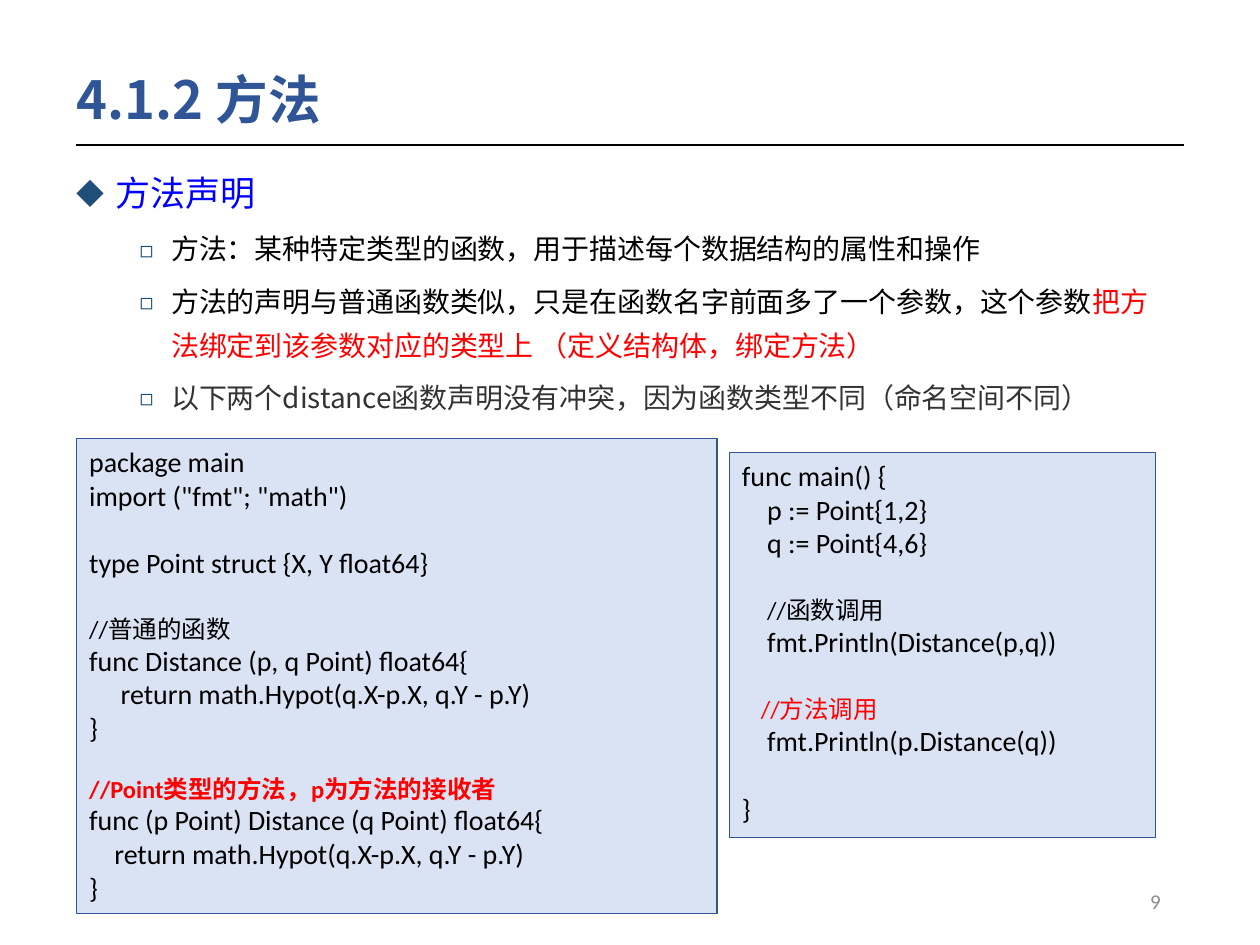
from typing import NamedTuple

from lxml.etree import SubElement
from pptx import Presentation
from pptx.dml.color import RGBColor
from pptx.enum.shapes import MSO_CONNECTOR, MSO_SHAPE
from pptx.enum.text import MSO_ANCHOR, PP_ALIGN
from pptx.oxml.ns import qn
from pptx.util import Inches, Pt

BLUE = RGBColor(0x2F, 0x55, 0x97)
BRIGHT_BLUE = RGBColor(0x00, 0x00, 0xFF)
PANEL = RGBColor(0xDA, 0xE3, 0xF3)
BLACK = RGBColor(0x00, 0x00, 0x00)
DARK_GRAY = RGBColor(0x33, 0x33, 0x33)
GRAY = RGBColor(0x8C, 0x8C, 0x8C)
RED = RGBColor(0xFF, 0x00, 0x00)
BULLET_COLOR = "1F4E79"

CJK = "Noto Sans CJK SC"
LATIN = "Calibri"


class Code(NamedTuple):
    text: str
    indent: float = 0  # inches
    gap: float = 0  # points before the line
    size: int = 16
    color: RGBColor = BLACK
    bold: bool = False


def style_run(run, size, color, font=CJK, bold=False):
    run.font.size = Pt(size)
    run.font.name = font
    run.font.bold = bold
    run.font.color.rgb = color
    SubElement(run.font._element, qn("a:ea"), typeface=CJK)


def set_indent(paragraph, left, hanging=0):
    properties = paragraph._p.get_or_add_pPr()
    properties.set("marL", str(Inches(left)))
    properties.set("indent", str(Inches(-hanging)))
    return properties


def add_bullet(paragraph, char, left, hanging):
    properties = set_indent(paragraph, left, hanging)
    color = SubElement(properties, qn("a:buClr"))
    SubElement(color, qn("a:srgbClr"), val=BULLET_COLOR)
    SubElement(properties, qn("a:buSzPct"), val="80000")
    SubElement(properties, qn("a:buFont"), typeface=CJK)
    SubElement(properties, qn("a:buChar"), char=char)


def next_paragraph(frame, index):
    return frame.add_paragraph() if index else frame.paragraphs[0]


def add_text_frame(slide, left, top, width, height, anchor=MSO_ANCHOR.TOP):
    box = slide.shapes.add_textbox(
        Inches(left), Inches(top), Inches(width), Inches(height))
    frame = box.text_frame
    frame.word_wrap = True
    frame.vertical_anchor = anchor
    return frame


def add_title(slide, left, top, width, height):
    frame = add_text_frame(slide, left, top, width, height, MSO_ANCHOR.MIDDLE)
    frame.text = "4.1.2 方法"
    heading = frame.paragraphs[0]
    heading.line_spacing = 0.9
    style_run(heading.runs[0], 30, BLUE, bold=True)

    # Rule along the bottom of the title
    y = Inches(top + height)
    rule = slide.shapes.add_connector(
        MSO_CONNECTOR.STRAIGHT, Inches(left + 0.09), y, Inches(9.4), y)
    rule.line.color.rgb = BLACK
    rule.line.width = Pt(1.5)
    SubElement(rule._element.spPr, qn("a:effectLst"))


def add_outline(slide, left, top, width, height, topic, points):
    frame = add_text_frame(slide, left, top, width, height)
    for index, parts in enumerate([topic, *points]):
        paragraph = next_paragraph(frame, index)
        paragraph.line_spacing = 1.3
        if index:
            paragraph.level = 1
            paragraph.space_before = Pt(5)
            add_bullet(paragraph, "◻", 0.75, 0.25)
        else:
            paragraph.space_before = Pt(10)
            add_bullet(paragraph, "◆", 0.31, 0.31)
        for text, color in parts:
            run = paragraph.add_run()
            run.text = text
            style_run(run, 16 if index else 20, color)


def add_code_panel(slide, left, top, width, height, lines):
    panel = slide.shapes.add_shape(
        MSO_SHAPE.RECTANGLE,
        Inches(left), Inches(top), Inches(width), Inches(height))
    panel.shadow.inherit = False
    panel.fill.solid()
    panel.fill.fore_color.rgb = PANEL
    panel.line.color.rgb = BLUE
    panel.line.width = Pt(0.75)
    frame = panel.text_frame
    frame.word_wrap = True
    frame.vertical_anchor = MSO_ANCHOR.TOP
    for index, line in enumerate(lines):
        paragraph = next_paragraph(frame, index)
        paragraph.text = line.text
        paragraph.alignment = PP_ALIGN.LEFT
        paragraph.space_before = Pt(line.gap)
        set_indent(paragraph, line.indent)
        style_run(paragraph.runs[0], line.size, line.color, LATIN, line.bold)


def add_page_number(slide, left, top, width, height):
    frame = add_text_frame(slide, left, top, width, height, MSO_ANCHOR.MIDDLE)
    frame.text = "9"
    frame.paragraphs[0].alignment = PP_ALIGN.RIGHT
    style_run(frame.paragraphs[0].runs[0], 12, GRAY, LATIN)


TOPIC = [("方法声明", BRIGHT_BLUE)]
POINTS = [
    [("方法：某种特定类型的函数，用于描述每个数据结构的属性和操作", BLACK)],
    [("方法的声明与普通函数类似，只是在函数名字前面多了一个参数，这个参数", BLACK),
     ("把方法绑定到该参数对应的类型上 （定义结构体，绑定方法）", RED)],
    [("以下两个distance函数声明没有冲突，因为函数类型不同（命名空间不同）", DARK_GRAY)],
]

BLANK_LINE = 19.5
DECLARATIONS = [
    Code("package main"),
    Code('import ("fmt"; "math")'),
    Code("type Point struct {X, Y float64}", gap=BLANK_LINE),
    Code("//普通的函数", gap=BLANK_LINE, size=14),
    Code("func Distance (p, q Point) float64{"),
    Code("return math.Hypot(q.X-p.X, q.Y - p.Y)", indent=0.25),
    Code("}"),
    Code("//Point类型的方法，p为方法的接收者", gap=17, size=14, color=RED, bold=True),
    Code("func (p Point) Distance (q Point) float64{"),
    Code("return math.Hypot(q.X-p.X, q.Y - p.Y)", indent=0.2),
    Code("}"),
]
CALLS = [
    Code("func main() {"),
    Code("p := Point{1,2}", indent=0.2),
    Code("q := Point{4,6}", indent=0.2),
    Code("//函数调用", indent=0.2, gap=BLANK_LINE + 1, size=14),
    Code("fmt.Println(Distance(p,q))", indent=0.2),
    Code("//方法调用", indent=0.15, gap=BLANK_LINE + 1, size=14, color=RED),
    Code("fmt.Println(p.Distance(q))", indent=0.2),
    Code("}", gap=BLANK_LINE),
]


def main():
    deck = Presentation()
    deck.slide_width, deck.slide_height = Inches(10), Inches(7.5)
    slide = deck.slides.add_slide(deck.slide_layouts[6])
    add_title(slide, 0.51, 0.48, 8.62, 0.67)
    add_page_number(slide, 7.06, 6.95, 2.25, 0.4)
    add_outline(slide, 0.51, 1.21, 8.89, 5.74, TOPIC, POINTS)
    add_code_panel(slide, 0.61, 3.48, 5.08, 3.77, DECLARATIONS)
    add_code_panel(slide, 5.79, 3.59, 3.38, 3.06, CALLS)
    deck.save("out.pptx")


if __name__ == "__main__":
    main()
